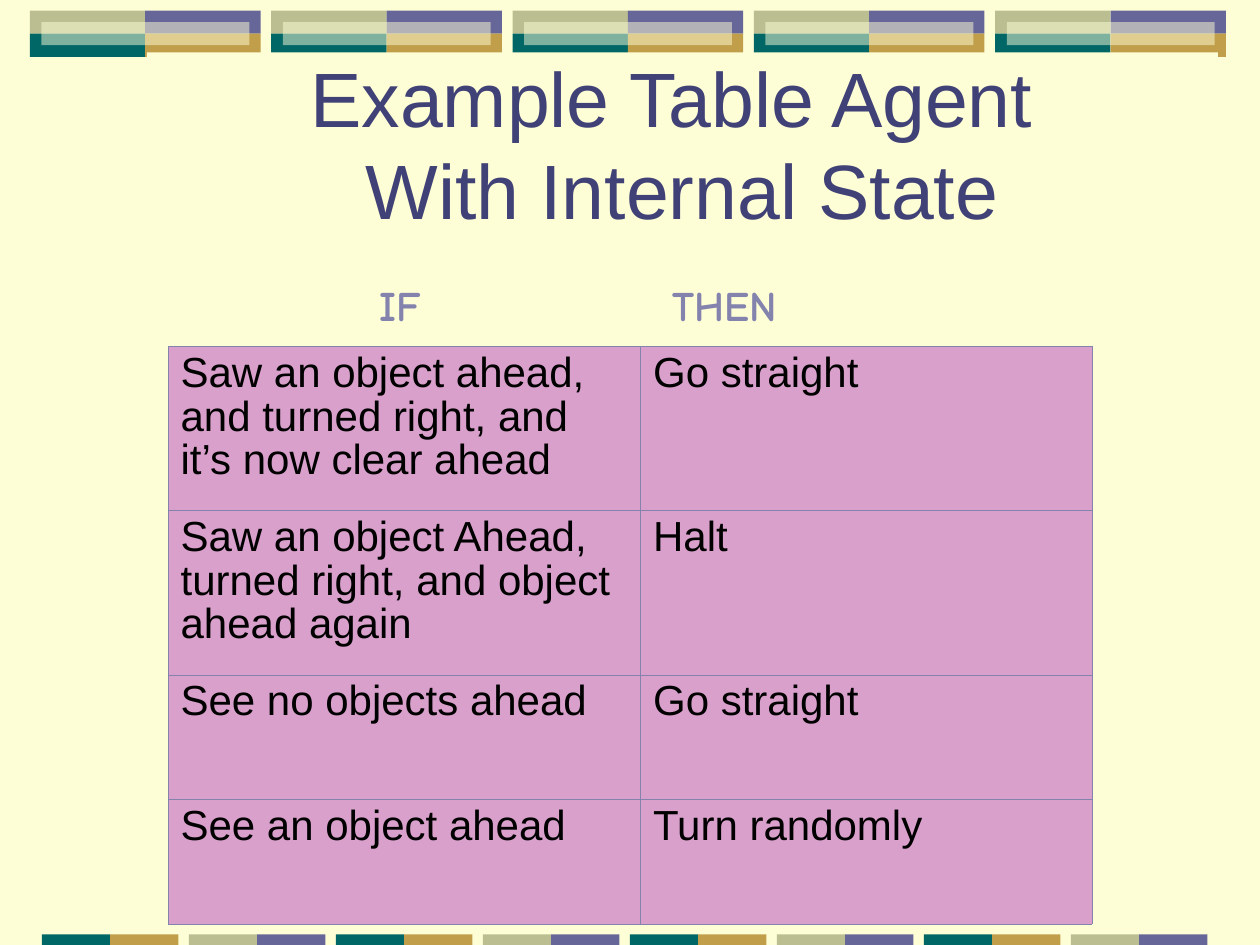
from lxml.etree import SubElement
from pptx import Presentation
from pptx.dml.color import RGBColor
from pptx.enum.shapes import MSO_SHAPE as Shape
from pptx.enum.text import MSO_ANCHOR as Anchor, MSO_AUTO_SIZE as AutoSize, PP_ALIGN as Align
from pptx.oxml.ns import qn
from pptx.util import Pt

CREAM, PURPLE, GOLD, TEAL, OLIVE = "FEFED6", "666699", "C09E4A", "006666", "BABE90"
NAVY, LILAC, PINK, BLACK = "404176", "8383AD", "D8A0CB", "000000"

TITLE = ["Example Table Agent ", "With Internal State"]
HEADINGS = [("IF", 210, 43.2, True), ("THEN", 377.3, 74.2, False)]
RULES = [
    ("Saw an object ahead, and turned right, and it’s now clear ahead", "Go straight"),
    ("Saw an object Ahead, turned right, and object ahead again", "Halt"),
    ("See no objects ahead", "Go straight"),
    ("See an object ahead", "Turn randomly"),
]
COLUMN_WIDTHS = [270, 258]
ROW_HEIGHTS = [93.8, 93.8, 71.2, 71.2]

BLOCK_COUNT, BLOCK_LEFT, BLOCK_TOP, BLOCK_STEP = 5, 17.1, 6.1, 137.9
TILE_WIDTH, TILE_HEIGHT = 65.9, 13.2
FOOTER_PAIRS = [(TEAL, GOLD), (OLIVE, PURPLE)]
FOOTER_COUNT, FOOTER_LEFT, FOOTER_STEP, FOOTER_WIDTH = 8, 24, 84, 39


def color(value):
    return RGBColor.from_string(value)


def add_rect(page, left, top, width, height, fill, opacity=None):
    rect = page.shapes.add_shape(Shape.RECTANGLE, Pt(left), Pt(top), Pt(width), Pt(height))
    rect.shadow.inherit = False
    rect.line.fill.background()
    rect.fill.solid()
    rect.fill.fore_color.rgb = color(fill)
    if opacity:
        tint = rect.fill._xPr.find(f".//{qn('a:srgbClr')}")
        SubElement(tint, qn("a:alpha"), val=str(opacity * 1000))
    return rect


def add_span(para, text, size, font, fill, bold=False):
    span = para.add_run()
    span.text = text
    span.font.size = Pt(size)
    span.font.name = font
    span.font.bold = bold
    span.font.color.rgb = color(fill)


def add_borders(cell, widths):
    """Draw the left, right, top and bottom lines, ahead of the cell fill."""
    props = cell._tc.get_or_add_tcPr()
    for index, (side, width) in enumerate(zip("LRTB", widths)):
        line = SubElement(props, qn(f"a:ln{side}"), w=str(Pt(width)))
        SubElement(SubElement(line, qn("a:solidFill")), qn("a:srgbClr"), val=LILAC)
        props.insert(index, line)


def add_bands(page):
    for block in range(BLOCK_COUNT):
        left = BLOCK_LEFT + block * BLOCK_STEP
        for row, pair in enumerate([(OLIVE, PURPLE), (TEAL, GOLD)]):
            for column, fill in enumerate(pair):
                add_rect(page, left + column * TILE_WIDTH, BLOCK_TOP + row * TILE_HEIGHT,
                         TILE_WIDTH, TILE_HEIGHT, fill)
        add_rect(page, left + 6.6, BLOCK_TOP + TILE_HEIGHT / 2, 118.8, TILE_HEIGHT, CREAM, 50)
    for block in range(FOOTER_COUNT):
        for column, fill in enumerate(FOOTER_PAIRS[block % 2]):
            add_rect(page, FOOTER_LEFT + block * FOOTER_STEP + column * FOOTER_WIDTH, 534,
                     FOOTER_WIDTH, 6, fill)


def add_title(page):
    box = add_rect(page, 84, 30, 612, 108, CREAM)
    frame = box.text_frame
    frame.word_wrap = True
    frame.vertical_anchor = Anchor.BOTTOM
    para = frame.paragraphs[0]
    para.alignment = Align.CENTER
    for index, text in enumerate(TITLE):
        if index:
            para.add_line_break()
        add_span(para, text, 44, "Arial", NAVY)


def add_rules(page):
    last_row, last_column = len(RULES) - 1, len(COLUMN_WIDTHS) - 1
    table = page.shapes.add_table(len(RULES), len(COLUMN_WIDTHS), Pt(96), Pt(198),
                                  Pt(sum(COLUMN_WIDTHS)), Pt(sum(ROW_HEIGHTS))).table
    table.first_row = table.horz_banding = False
    for column, width in zip(table.columns, COLUMN_WIDTHS):
        column.width = Pt(width)
    for r, texts in enumerate(RULES):
        table.rows[r].height = Pt(ROW_HEIGHTS[r])
        for c, text in enumerate(texts):
            cell = table.cell(r, c)
            cell.fill.solid()
            cell.fill.fore_color.rgb = color(PINK)
            outer = [c == 0, c == last_column, r == 0, r == last_row]
            add_borders(cell, [0.5 if edge else 0.23 for edge in outer])
            para = cell.text_frame.paragraphs[0]
            para.line_spacing = 0.93
            add_span(para, text, 24, "Arial", BLACK)


def add_headings(page):
    for text, left, width, wrap in HEADINGS:
        box = page.shapes.add_textbox(Pt(left), Pt(156.2), Pt(width), Pt(36))
        frame = box.text_frame
        frame.word_wrap = wrap
        frame.auto_size = AutoSize.SHAPE_TO_FIT_TEXT
        add_span(frame.paragraphs[0], text, 24, "Comic Neue", LILAC, bold=True)


def main():
    deck = Presentation()
    deck.slide_width, deck.slide_height = Pt(720), Pt(540)
    page = deck.slides.add_slide(deck.slide_layouts[6])
    page.background.fill.solid()
    page.background.fill.fore_color.rgb = color(CREAM)
    add_bands(page)
    add_title(page)
    add_rules(page)
    add_headings(page)
    deck.save("out.pptx")


if __name__ == "__main__":
    main()
